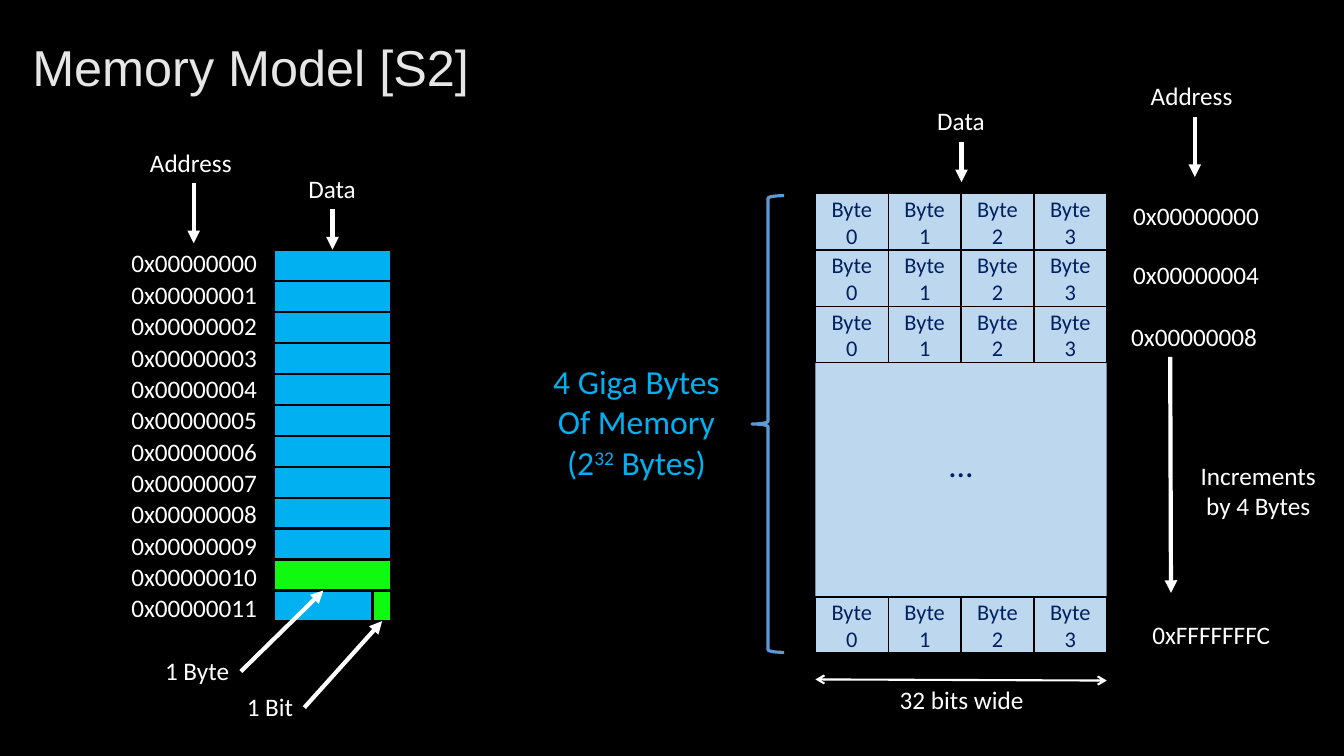
import lxml.etree
import pptx
import pptx.dml.color
import pptx.enum.shapes
import pptx.enum.text
import pptx.oxml.ns
import pptx.util

Cm = pptx.util.Cm
Pt = pptx.util.Pt
ALIGN = pptx.enum.text.PP_ALIGN
MIDDLE = pptx.enum.text.MSO_ANCHOR.MIDDLE
SHAPES = pptx.enum.shapes.MSO_SHAPE
WHITE, BLACK, NAVY = "FFFFFF", "000000", "002060"
SKY, GREEN, PALE = "00B0F0", "0FFA0F", "BDD7EE"


def color(value):
    return pptx.dml.color.RGBColor.from_string(value)


class MemorySlide:
    def __init__(self, presentation, background):
        self.slide = presentation.slides.add_slide(presentation.slide_layouts[5])
        fill = self.slide.background.fill
        fill.solid()
        fill.fore_color.rgb = color(background)

    def style(self, text_frame, size, hue, align, font="Calibri"):
        for paragraph in text_frame.paragraphs:
            paragraph.alignment = align
            for run in paragraph.runs:
                run.font.name = font
                run.font.size = Pt(size)
                run.font.color.rgb = color(hue)

    def title(self, text):
        shape = self.slide.shapes.title
        shape.left, shape.top, shape.width, shape.height = Cm(0.56), Cm(0.53), Cm(32.74), Cm(2.46)
        frame = shape.text_frame
        frame.text = text
        frame.vertical_anchor = MIDDLE
        frame.auto_size = pptx.enum.text.MSO_AUTO_SIZE.NONE
        frame.paragraphs[0].line_spacing = 0.9
        self.style(frame, 36, "E7E6E6", ALIGN.LEFT, "Arial")

    def label(self, text, left, top, width, height=1.03, size=18, hue=WHITE, align=ALIGN.CENTER, wrap=False):
        box = self.slide.shapes.add_textbox(Cm(left), Cm(top), Cm(width), Cm(height))
        frame = box.text_frame
        frame.word_wrap = wrap
        frame.text = text
        self.style(frame, size, hue, align)
        return frame

    def block(self, left, top, width, height, fill=None, line=None, weight=1.5,
              kind=SHAPES.RECTANGLE, text="", size=16):
        shape = self.slide.shapes.add_shape(kind, Cm(left), Cm(top), Cm(width), Cm(height))
        shape.shadow.inherit = False
        if fill:
            shape.fill.solid()
            shape.fill.fore_color.rgb = color(fill)
        else:
            shape.fill.background()
        if line:
            shape.line.color.rgb = color(line)
            shape.line.width = Pt(weight)
        else:
            shape.line.fill.background()
        if text:
            shape.text_frame.word_wrap = True
            shape.text_frame.vertical_anchor = MIDDLE
            shape.text_frame.text = text
            self.style(shape.text_frame, size, NAVY, ALIGN.CENTER)
        return shape

    def arrow(self, start_x, start_y, end_x, end_y, weight=3, head=None, tail="triangle"):
        connector = self.slide.shapes.add_connector(
            pptx.enum.shapes.MSO_CONNECTOR.STRAIGHT, Cm(start_x), Cm(start_y), Cm(end_x), Cm(end_y))
        connector.line.color.rgb = color(WHITE)
        connector.line.width = Pt(weight)
        line = connector.line._get_or_add_ln()
        for tag, kind in (("a:headEnd", head), ("a:tailEnd", tail)):
            if kind:
                lxml.etree.SubElement(line, pptx.oxml.ns.qn(tag), type=kind)
        lxml.etree.SubElement(connector._element.spPr, pptx.oxml.ns.qn("a:effectLst"))


def draw_byte_memory(page):
    left, top, width, row_height, rows = 6.91, 6.3, 2.95, 0.78, 12
    for row in range(rows):
        row_top = top + row * row_height
        page.label(f"0x{row:08d}", 3.06, 6.12 + row * 0.79, 3.71, align=ALIGN.LEFT)
        if row < rows - 1:
            page.block(left, row_top, width, row_height, GREEN if row == rows - 2 else SKY, BLACK)
        else:
            bit_width = 0.47
            page.block(left + width - bit_width, row_top, bit_width, row_height, GREEN, BLACK)
            page.block(left, row_top, width - bit_width, row_height, SKY, BLACK)
    page.label("1 Bit", 5.97, 17.3, 1.7, align=ALIGN.LEFT)
    page.label("1 Byte", 3.91, 16.38, 2.13, align=ALIGN.LEFT)
    page.arrow(6.07, 16.92, 8.15, 14.88)
    page.arrow(7.67, 17.83, 9.63, 15.65)


def draw_word_memory(page):
    left, top, cell_width, cell_height = 20.55, 4.88, 1.835, 1.42
    width, height = 4 * cell_width, 11.58
    memory = page.block(left, top, width, height, PALE, text="…", size=24)
    memory.text_frame.margin_top = Cm(2.16)
    row_tops = [top + row * cell_height for row in range(3)] + [top + height - cell_height]
    for row_top in row_tops:
        for byte in range(4):
            page.block(left + byte * cell_width, row_top, cell_width, cell_height,
                       line=BLACK, weight=1, text=f"Byte {byte}")
    for address, address_left, address_top in (
        ("0x00000000", 27.53, 4.93),
        ("0x00000004", 27.53, 6.4),
        ("0x00000008", 27.48, 7.98),
        ("0xFFFFFFFC", 27.91, 15.49),
    ):
        page.label(address, address_left, address_top, 5.23)
    page.arrow(29.49, 8.99, 29.51, 14.94)
    page.label("Increments by 4 Bytes", 29.82, 11.48, 3.78, 1.8, wrap=True)
    page.arrow(left, 17.12, left + width, 17.15, 1.5, "arrow", "arrow")
    page.label("32 bits wide", 21.62, 17.12, 5.23)
    page.block(18.95, 4.93, 0.81, 11.51, line="5B9BD5", weight=2.25, kind=SHAPES.LEFT_BRACE)


def draw_capacity(page):
    frame = page.label("4 Giga Bytes\nOf Memory\n(2", 13.54, 8.97, 5, 3.33, 24, SKY)
    paragraph = frame.paragraphs[-1]
    exponent = paragraph.add_run()
    exponent.text = "32"
    exponent.font._element.set("baseline", "30000")
    paragraph.add_run().text = " Bytes)"
    page.style(frame, 24, SKY, ALIGN.CENTER)


def draw_headings(page):
    for text, left, top, width, arrow_x, arrow_length in (
        ("Address", 3.53, 3.58, 2.72, 4.88, 1.52),
        ("Data", 7.52, 4.24, 1.73, 8.38, 1.02),
        ("Address", 28.75, 1.91, 2.72, 30.11, 1.52),
        ("Data", 23.37, 2.54, 1.73, 24.23, 1.02),
    ):
        page.label(text, left, top, width, align=ALIGN.LEFT)
        page.arrow(arrow_x, top + 1.03, arrow_x, top + 1.03 + arrow_length)


def main():
    presentation = pptx.Presentation()
    presentation.slide_width = Cm(33.87)
    presentation.slide_height = Cm(19.05)
    page = MemorySlide(presentation, BLACK)
    page.title("Memory Model [S2]")
    draw_byte_memory(page)
    draw_word_memory(page)
    draw_capacity(page)
    draw_headings(page)
    presentation.save("out.pptx")


if __name__ == "__main__":
    main()
